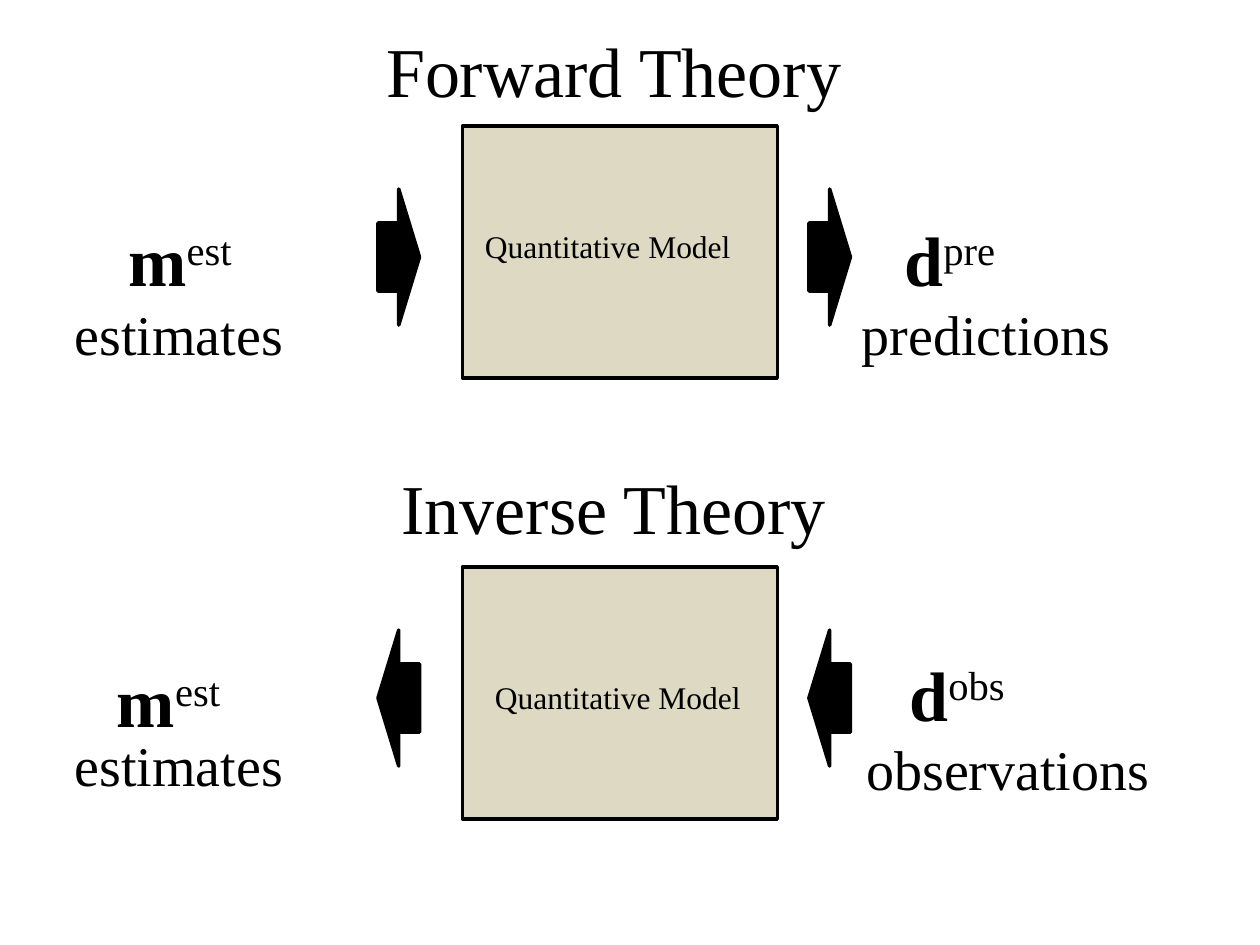
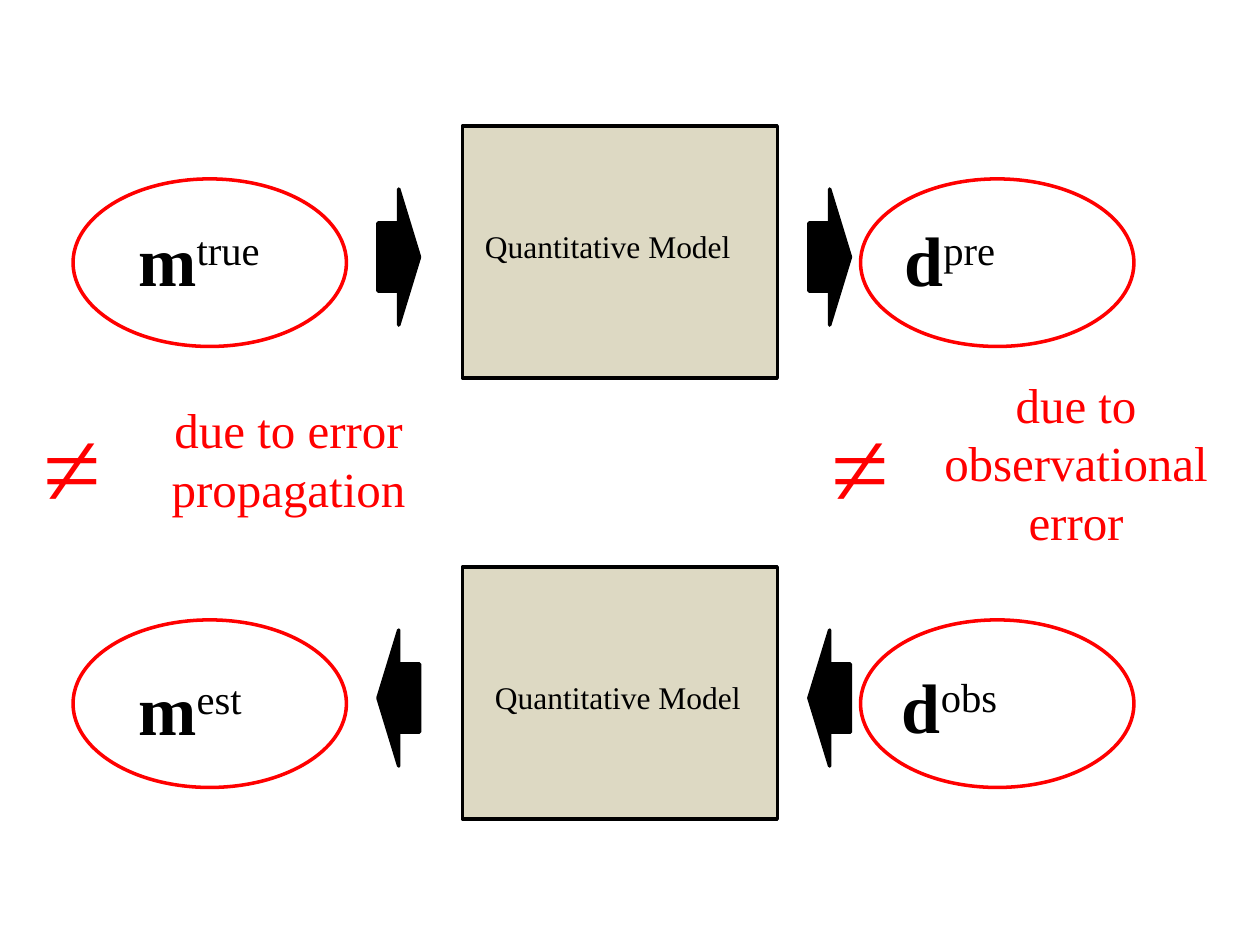
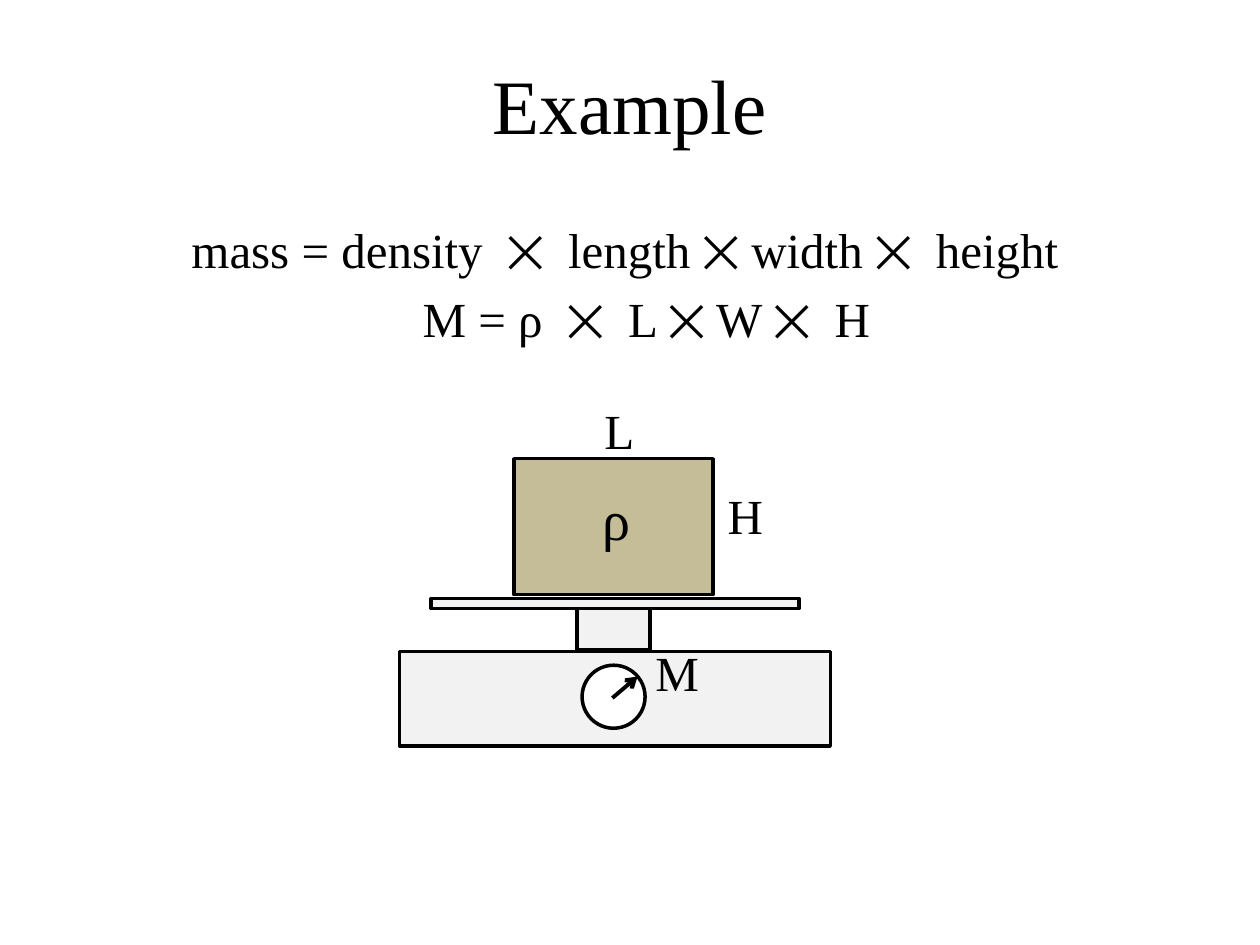
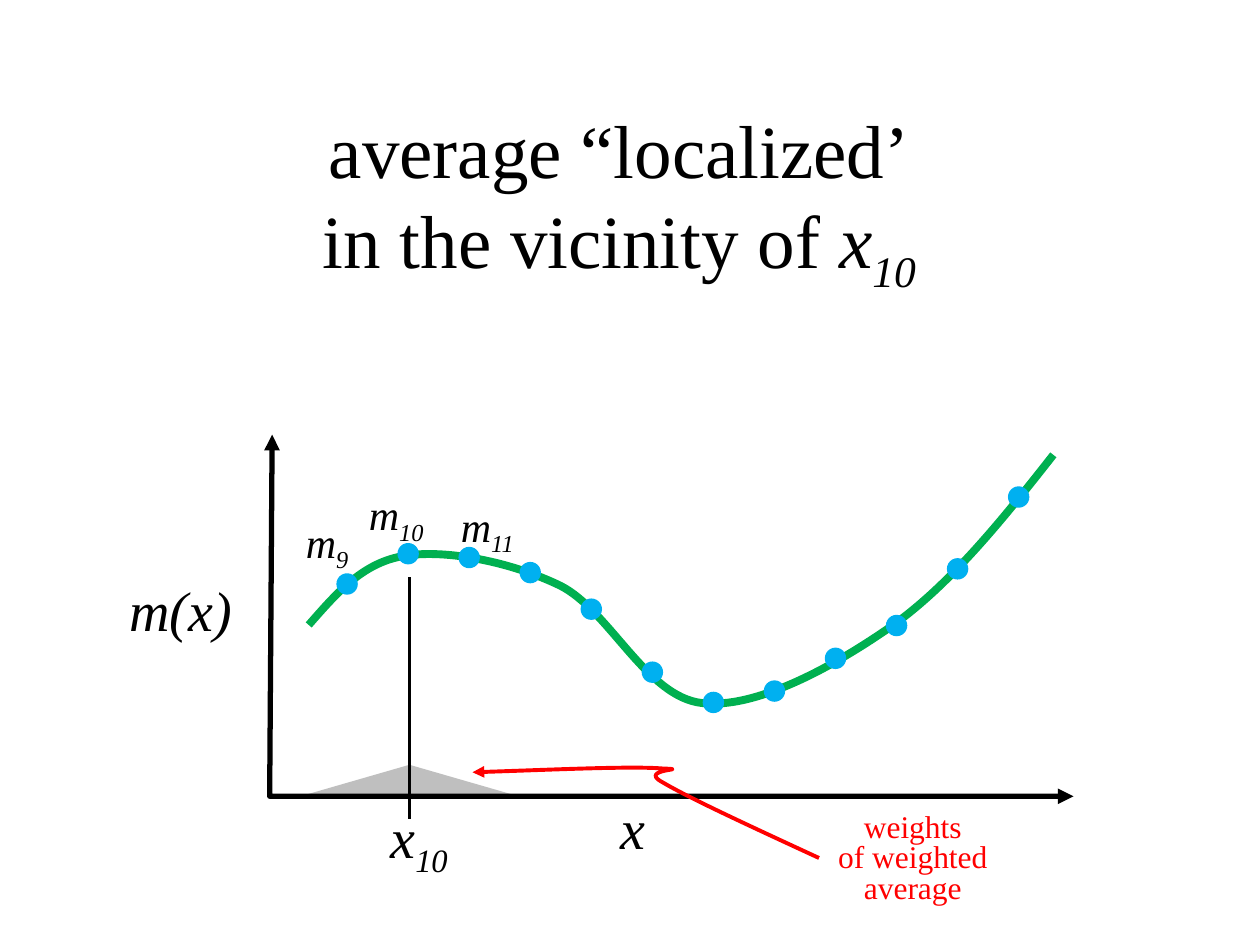
from lxml.etree import SubElement
from pptx import Presentation
from pptx.dml.color import RGBColor
from pptx.enum.shapes import MSO_CONNECTOR, MSO_SHAPE
from pptx.enum.text import MSO_ANCHOR, PP_ALIGN
from pptx.oxml.ns import qn
from pptx.util import Inches, Pt

# Shared style
FONT = "Times New Roman"
BLACK = RGBColor(0x00, 0x00, 0x00)
WHITE = RGBColor(0xFF, 0xFF, 0xFF)
RED = RGBColor(0xFF, 0x00, 0x00)
GREEN = RGBColor(0x00, 0xB0, 0x50)
BLUE = RGBColor(0x00, 0xB0, 0xF0)
GREY = RGBColor(0xBF, 0xBF, 0xBF)
PALE = RGBColor(0xF2, 0xF2, 0xF2)
CREAM = RGBColor(0xDD, 0xD9, 0xC3)
SAND = RGBColor(0xC4, 0xBD, 0x97)

RECT, OVAL = MSO_SHAPE.RECTANGLE, MSO_SHAPE.OVAL
RIGHT, LEFT = MSO_SHAPE.RIGHT_ARROW, MSO_SHAPE.LEFT_ARROW


def add_run(para, text, size=18, color=BLACK, bold=False, italic=False, base=0):
    """Add one run; base is the rise or drop of the text in percent."""
    run = para.add_run()
    run.text = text
    font = run.font
    font.name, font.size, font.color.rgb = FONT, Pt(size), color
    font.bold, font.italic = bold, italic
    if base:
        run._r.get_or_add_rPr().set("baseline", str(base * 1000))


class Deck:
    def __init__(self):
        self.prs = Presentation()
        self.prs.slide_width, self.prs.slide_height = Inches(10), Inches(7.5)

    def new(self):
        self.slide = self.prs.slides.add_slide(self.prs.slide_layouts[6])
        self.shapes = self.slide.shapes

    def text(self, box, *paras, center=False, middle=False, wrap=True,
             space=None, **style):
        """Each paragraph is a string or a list of (text, changes) runs."""
        frame = self.shapes.add_textbox(*map(Inches, box)).text_frame
        frame.word_wrap = wrap
        frame.vertical_anchor = MSO_ANCHOR.MIDDLE if middle else MSO_ANCHOR.TOP
        for i, runs in enumerate(paras):
            para = frame.add_paragraph() if i else frame.paragraphs[0]
            para.alignment = PP_ALIGN.CENTER if center else PP_ALIGN.LEFT
            if space:
                para.line_spacing = space
            for text, more in [(runs, {})] if isinstance(runs, str) else runs:
                add_run(para, text, **{**style, **more})

    def shape(self, kind, box, fill=None, line=BLACK, home=None):
        item = (home or self.shapes).add_shape(kind, *map(Inches, box))
        item.shadow.inherit = False
        if fill is None:
            item.fill.background()
        else:
            item.fill.solid()
            item.fill.fore_color.rgb = fill
        if line is None:
            item.line.fill.background()
        else:
            self.stroke(item, line, 2)

    def stroke(self, item, color, width, head=None, tail=None):
        item.line.color.rgb = color
        item.line.width = Pt(width)
        for tag, end in (("a:headEnd", head), ("a:tailEnd", tail)):
            if end:
                SubElement(item.line._get_or_add_ln(), qn(tag), type=end)

    def line(self, start, end, **style):
        item = self.shapes.add_connector(
            MSO_CONNECTOR.STRAIGHT, *map(Inches, start + end))
        self.stroke(item, **style)
        SubElement(item._element.spPr, qn("a:effectLst"))

    def trace(self, points, curved=False, **style):
        """Draw an open outline; when curved, three points make one Bézier."""
        start, *rest = [(Inches(x), Inches(y)) for x, y in points]
        pen = self.shapes.build_freeform(*start)
        pen.add_line_segments(rest, close=False)
        item = pen.convert_to_shape()
        item.shadow.inherit = False
        item.fill.background()
        self.stroke(item, **style)
        if curved:
            steps = item._element.xpath(".//a:lnTo")
            for i in range(0, len(steps), 3):
                bend = SubElement(steps[i].getparent(), qn("a:cubicBezTo"))
                for step in steps[i:i + 3]:
                    bend.append(step[0])
                    step.getparent().remove(step)

    # Parts of the theory slides
    def symbol(self, box, name, note):
        self.text(box, [(name, {"bold": True}), (note, {"base": 30})], size=40)

    def models(self):
        """Two model boxes: arrows go forward above and back below."""
        for top, arrow, spot in ((1, RIGHT, (3.75, 1.75)),
                                 (4.5, LEFT, (3.83, 5.33))):
            self.shape(RECT, (3.67, top, 2.5, 2), CREAM)
            self.text((*spot, 2.25, 0.42), "Quantitative Model")
            for left in (3, 6.42):
                self.shape(arrow, (left, top + 0.5, 0.33, 1.08), BLACK)

    # Parts of the curve slide
    def index(self, spot, name, sub="", size=32):
        self.text((*spot, 1.33, 0.6), [(name, {}), (sub, {"base": -25})][:2 if sub else 1],
                  size=size, italic=True)


def theory(deck):
    deck.new()
    deck.models()
    deck.symbol((0.92, 1.67, 1.25, 0.77), "m", "est")
    deck.symbol((7.08, 1.67, 2.08, 0.77), "d", "pre")
    deck.symbol((0.83, 5.17, 1.58, 0.77), "m", "est")
    deck.symbol((7.12, 5.12, 1.19, 0.77), "d", "obs")
    for top, name in ((0.17, "Forward Theory"), (3.64, "Inverse Theory")):
        deck.text((2.08, top, 5.58, 0.77), name, size=40, center=True)
    for left, top, name in ((0.17, 2.33, "estimates"), (6.58, 2.33, "predictions"),
                            (6.75, 5.78, "observations"), (0.17, 5.75, "estimates")):
        deck.text((left, top, 2.5, 0.64), name, size=32, center=True)


def errors(deck):
    deck.new()
    deck.models()
    deck.symbol((1, 1.67, 1.42, 0.77), "m", "true")
    deck.symbol((7.08, 1.67, 2.08, 0.77), "d", "pre")
    deck.symbol((1, 5.23, 1.42, 0.77), "m", "est")
    deck.symbol((7.06, 5.22, 2.08, 0.77), "d", "obs")
    for left in (0.58, 6.83):
        for top in (1.42, 4.92):
            deck.shape(OVAL, (left, top, 2.17, 1.33), line=RED)
        deck.text((left - 0.33, 3.14, 1.25, 1.11), "≠", size=60, color=RED)
    for box, cause in (((1, 3.12, 2.58, 1.04), "due to error propagation"),
                       ((7.25, 2.92, 2.58, 1.51), "due to observational error")):
        deck.text(box, cause, size=28, color=RED, center=True)


def example(deck):
    deck.new()
    deck.text((0.5, 0.2, 9, 1.25), "Example", size=44, center=True, middle=True)
    # Scale with its dial, and the block on it
    scale = deck.shapes.add_group_shape().shapes
    for box in ((3.17, 5.17, 3.42, 0.75), (4.58, 4.83, 0.58, 0.33),
                (3.42, 4.75, 2.92, 0.08)):
        deck.shape(RECT, box, PALE, home=scale)
    deck.shape(OVAL, (4.62, 5.28, 0.5, 0.5), WHITE, home=scale)
    deck.line((4.86, 5.54), (5.06, 5.37), color=BLACK, width=2.25, tail="arrow")
    deck.shape(RECT, (4.08, 3.64, 1.58, 1.08), SAND)
    # Formulas and labels
    for left, top, width, text in (
            (0.25, 1.56, 9.42, "mass = density  ⨉  length ⨉ width ⨉  height"),
            (0.42, 2.11, 9.42, "M = ρ  ⨉  L ⨉ W ⨉  H"),
            (5.04, 4.92, 0.67, "M"), (5.58, 3.67, 0.67, "H"), (4.58, 3, 0.67, "L")):
        deck.text((left, top, width, 0.83), text, size=28, center=True, middle=True)
    deck.text((4.68, 3.8, 0.44, 0.64), "ρ", size=32, wrap=False)


def average(deck):
    deck.new()
    deck.shape(MSO_SHAPE.ISOSCELES_TRIANGLE, (2.35, 6.07, 1.8, 0.26), GREY, None)
    # Axes and curve
    deck.trace([(2.16, 3.45), (2.14, 6.32), (8.52, 6.32)],
               color=BLACK, width=3, head="triangle", tail="triangle")
    deck.trace([(2.45, 4.96), (2.67, 4.71), (2.88, 4.46), (3.22, 4.41),
                (3.55, 4.36), (4.06, 4.46), (4.45, 4.65),
                (4.84, 4.85), (5.13, 5.53), (5.57, 5.58),
                (6, 5.63), (6.62, 5.29), (7.09, 4.96),
                (7.55, 4.63), (7.96, 4.12), (8.36, 3.61)],
               curved=True, color=GREEN, width=4.5)
    # Samples at equal steps along x
    tops = (4.55, 4.31, 4.34, 4.46, 4.75, 5.25, 5.49, 5.4, 5.14, 4.88, 4.43, 3.86)
    step = (8 - 2.67) / (len(tops) - 1)
    for i, top in enumerate(tops):
        deck.shape(OVAL, (2.67 + i * step, top, 0.17, 0.17), BLUE, None)
    # Labels
    deck.index((0.93, 4.52), "m(x)")
    deck.index((4.83, 6.25), "x")
    deck.index((3, 6.32), "x", "10")
    for spot, sub in (((2.83, 3.83), "10"), ((3.56, 3.92), "11"), ((2.33, 4.05), "9")):
        deck.index(spot, "m", sub, size=24)
    deck.text((0, 0, 9.83, 3.17), "average “localized’",
              [("in the vicinity of ", {}), ("x", {"italic": True}),
               ("10", {"italic": True, "base": -25})],
              size=42.9, center=True, middle=True)
    deck.line((3.25, 4.58), (3.25, 6.5), color=BLACK, width=2.25)
    # Callout to the weights
    deck.trace([(3.75, 6.13), (4.38, 6.11), (5.01, 6.08), (5.26, 6.1),
                (5.51, 6.11), (5.05, 6.1), (5.26, 6.21),
                (5.46, 6.33), (5.98, 6.57), (6.5, 6.81)],
               curved=True, color=RED, width=2.25, head="triangle")
    deck.text((6.41, 6.41, 1.67, 0.83), "weights", "of weighted average",
              color=RED, center=True, middle=True, space=0.8)


def main():
    deck = Deck()
    for build in (theory, errors, example, average):
        build(deck)
    deck.prs.save("out.pptx")


if __name__ == "__main__":
    main()
